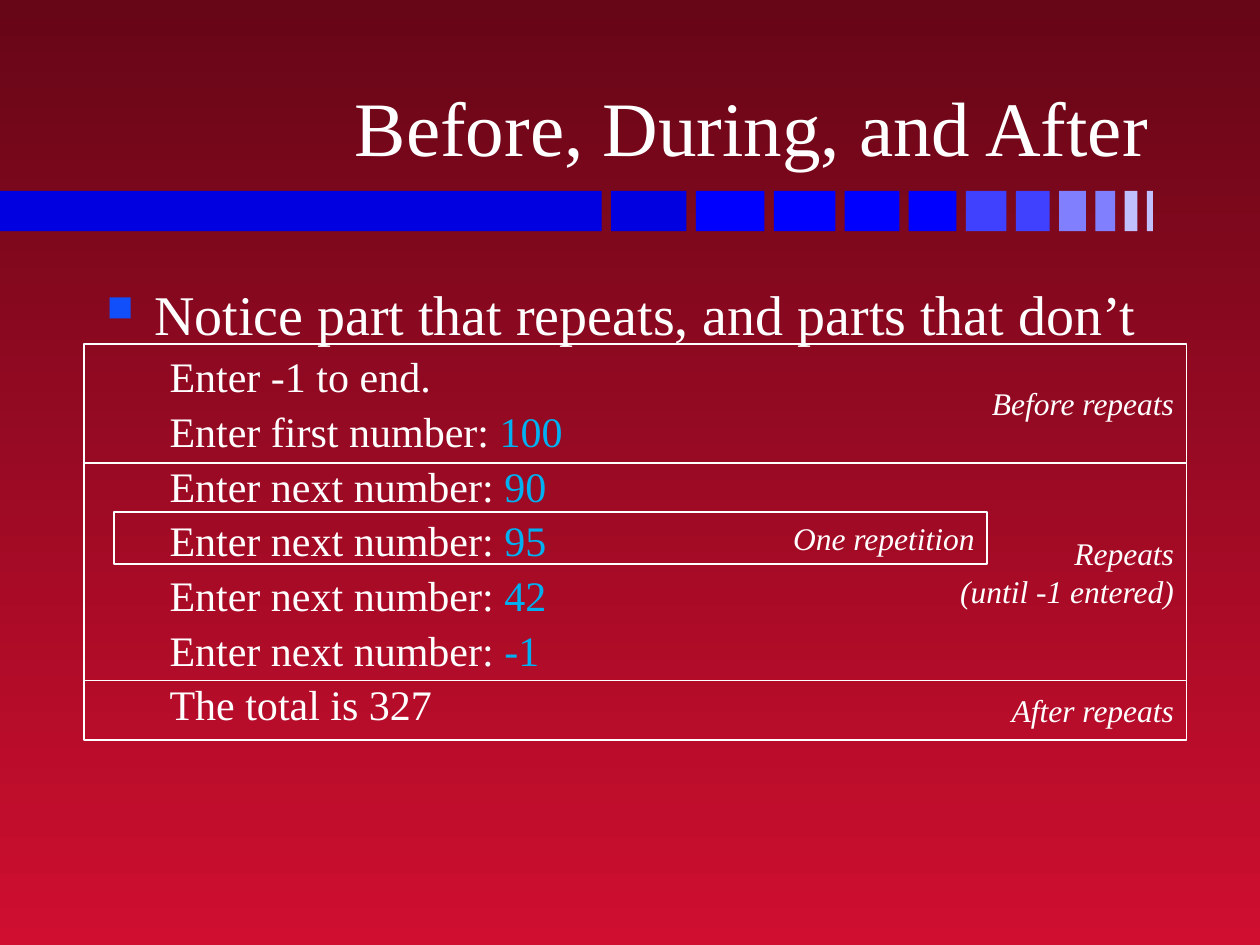
import dataclasses

import lxml.etree
import pptx
import pptx.dml.color
import pptx.enum.shapes
import pptx.enum.text
import pptx.oxml.ns
import pptx.util

Cm = pptx.util.Cm
Pt = pptx.util.Pt
ALIGN = pptx.enum.text.PP_ALIGN
ANCHOR = pptx.enum.text.MSO_ANCHOR


@dataclasses.dataclass(frozen=True)
class Theme:
    font: str = "Times New Roman"
    text: str = "FFFFFF"
    typed: str = "00B0F0"
    bullet: str = "114FFB"
    background: tuple = ("660617", "CF0E30")
    bars: tuple = ("0000E0",) * 2 + ("0000FF",) * 4 + (
        "4040FF", "4040FF", "8080FF", "8080FF", "C0C0FF", "C0C0FF")
    title_size: int = 44
    heading_size: int = 32
    sample_size: int = 24
    label_size: int = 18


def rgb(value):
    return pptx.dml.color.RGBColor.from_string(value)


def apply_format(target, values):
    for name, value in values.items():
        setattr(target, name, value)


class SlideBuilder:
    def __init__(self, slide, theme):
        self.slide = slide
        self.theme = theme

    def background(self):
        fill = self.slide.background.fill
        fill.gradient()
        fill.gradient_angle = 270
        for stop, color in zip(fill.gradient_stops, self.theme.background):
            stop.color.rgb = rgb(color)

    def text_box(self, left, top, width, height, anchor=ANCHOR.TOP):
        shape = self.slide.shapes.add_textbox(
            Cm(left), Cm(top), Cm(width), Cm(height))
        apply_format(shape.text_frame,
                     {"word_wrap": True, "vertical_anchor": anchor})
        return shape.text_frame

    def run(self, paragraph, text, size, color=None, italic=False):
        run = paragraph.add_run()
        run.text = text
        apply_format(run.font, {"name": self.theme.font, "size": Pt(size),
                                "italic": italic})
        run.font.color.rgb = rgb(color or self.theme.text)

    def indent(self, paragraph, margin, first_line):
        properties = paragraph._p.get_or_add_pPr()
        properties.set("marL", str(Cm(margin)))
        properties.set("indent", str(Cm(first_line)))
        return properties

    def bullet(self, paragraph):
        properties = self.indent(paragraph, 0.96, -0.96)

        def add(parent, tag, **attributes):
            return lxml.etree.SubElement(
                parent, pptx.oxml.ns.qn(tag), attributes)

        add(add(properties, "a:buClr"), "a:srgbClr", val=self.theme.bullet)
        add(properties, "a:buSzPct", val="65000")
        add(properties, "a:buChar", char="■")

    def rectangle(self, left, top, width, height, fill=None):
        """Draw a filled bar, or a white outline when no fill is given."""
        shape = self.slide.shapes.add_shape(
            pptx.enum.shapes.MSO_SHAPE.RECTANGLE,
            Cm(left), Cm(top), Cm(width), Cm(height))
        shape.shadow.inherit = False
        if fill:
            shape.fill.solid()
            shape.fill.fore_color.rgb = rgb(fill)
            shape.line.fill.background()
        else:
            shape.fill.background()
            shape.line.color.rgb = rgb(self.theme.text)
            shape.line.width = Pt(1)
        return shape

    def labelled_frame(self, left, top, width, height, lines):
        frame = self.rectangle(left, top, width, height).text_frame
        apply_format(frame, {"word_wrap": False,
                             "vertical_anchor": ANCHOR.MIDDLE})
        paragraph = frame.paragraphs[0]
        paragraph.alignment = ALIGN.RIGHT
        for index, line in enumerate(lines):
            if index:
                paragraph.add_line_break()
            self.run(paragraph, line, self.theme.label_size, italic=True)

    def bars(self):
        left, gap = 0, 0.19
        widths = [12.13] + [1.52 - 0.14 * step for step in range(11)]
        for width, color in zip(widths, self.theme.bars):
            self.rectangle(left, 3.85, width, 0.81, color)
            left += width + gap

    def title(self, text):
        frame = self.text_box(1.87, 0.48, 21.54, 3.12, ANCHOR.BOTTOM)
        paragraph = frame.paragraphs[0]
        paragraph.alignment = ALIGN.RIGHT
        self.run(paragraph, text, self.theme.title_size)

    def body(self, heading, sample):
        frame = self.text_box(1.9, 5.51, 21.6, 11.43)
        paragraph = frame.paragraphs[0]
        self.bullet(paragraph)
        self.run(paragraph, heading, self.theme.heading_size)
        for prompt, typed in sample:
            paragraph = frame.add_paragraph()
            self.indent(paragraph, 2.06, -0.79)
            paragraph.space_before = Pt(self.theme.sample_size * 0.1)
            self.run(paragraph, prompt, self.theme.sample_size)
            if typed:
                self.run(paragraph, typed, self.theme.sample_size,
                         self.theme.typed)


def main():
    presentation = pptx.Presentation()
    presentation.slide_width = Cm(25.4)
    presentation.slide_height = Cm(19.05)
    slide = presentation.slides.add_slide(presentation.slide_layouts[6])
    builder = SlideBuilder(slide, Theme())

    builder.background()
    builder.bars()
    builder.title("Before, During, and After")
    next_numbers = [("Enter next number: ", typed)
                    for typed in ("90", "95", "42", "-1")]
    builder.body("Notice part that repeats, and parts that don’t", [
        ("Enter -1 to end.", ""),
        ("Enter first number: ", "100"),
        *next_numbers,
        ("The total is 327", ""),
    ])

    top = 6.93
    for height, lines in [
        (2.4, ["Before repeats"]),
        (4.39, ["Repeats", "(until -1 entered)"]),
        (1.2, ["After repeats"]),
    ]:
        builder.labelled_frame(1.7, top, 22.22, height, lines)
        top += height
    builder.labelled_frame(2.3, 10.32, 17.6, 1.05, ["One repetition"])

    presentation.save("out.pptx")


if __name__ == "__main__":
    main()
